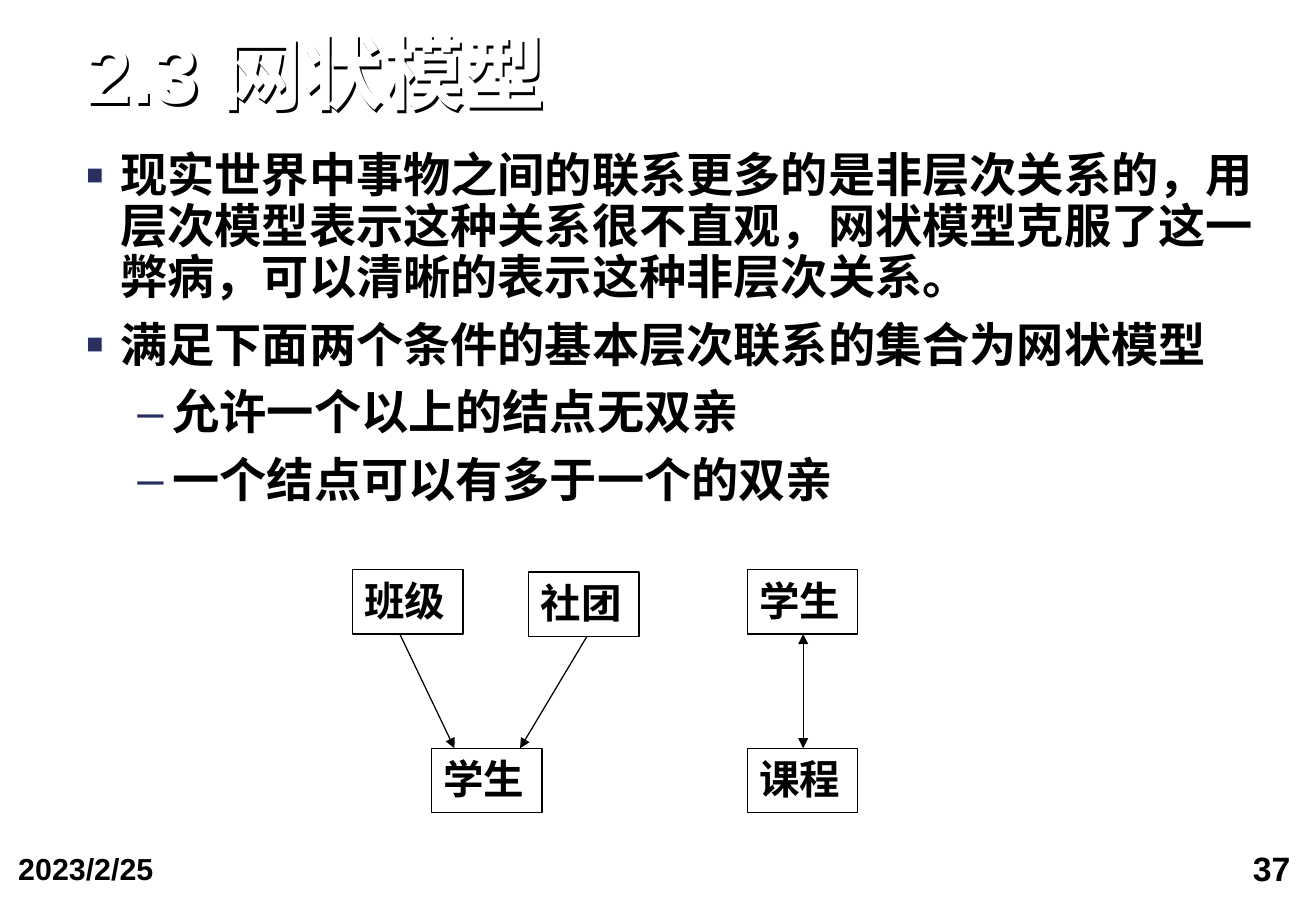
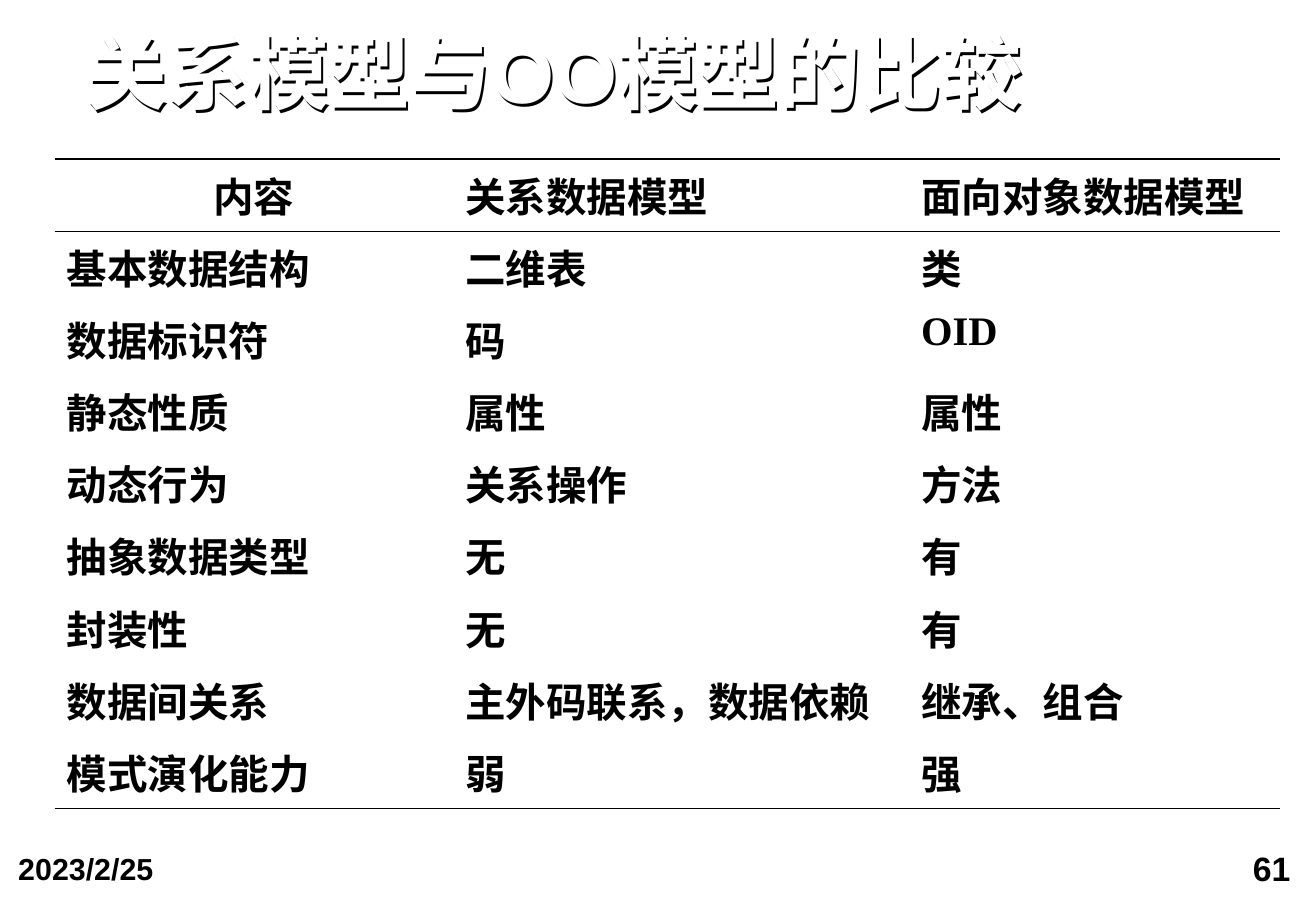
from lxml.etree import SubElement
from pptx import Presentation
from pptx.dml.color import RGBColor
from pptx.enum.shapes import MSO_CONNECTOR as Connector, MSO_SHAPE as Preset
from pptx.enum.text import MSO_ANCHOR as Anchor, MSO_AUTO_SIZE as AutoSize, PP_ALIGN as Align
from pptx.oxml import parse_xml
from pptx.oxml.ns import nsdecls, qn
from pptx.util import Inches, Pt

BLACK, WHITE, NAVY = "000000", "FFFFFF", "27305F"
SANS, SERIF = "Arial", "Times New Roman"
DATE = "2023/2/25"
FOOTER_INSETS = (0.13, 0.06)

NETWORK = {"title": "2.3 网状模型", "number": "37"}
COMPARISON = {"title": "关系模型与OO模型的比较", "number": "61"}

BODY = [
    (0, "现实世界中事物之间的联系更多的是非层次关系的，用层次模型表示这种关系很不直观，"
        "网状模型克服了这一弊病，可以清晰的表示这种非层次关系。"),
    (0, "满足下面两个条件的基本层次联系的集合为网状模型"),
    (1, "允许一个以上的结点无双亲"),
    (1, "一个结点可以有多于一个的双亲"),
]
LEVELS = [
    {"margin": 0.28, "indent": -0.28, "bullet": "■", "size": 60},
    {"margin": 0.71, "indent": -0.29, "bullet": "–", "size": 100},
]

NODE_WIDTH, NODE_HEIGHT = 0.91, 0.53
PARENT_TOP, CHILD_TOP = 4.69, 6.16
NODES = [
    ("班级", 2.9, PARENT_TOP),
    ("社团", 4.35, PARENT_TOP + 0.02),
    ("学生", 3.55, CHILD_TOP),
    ("学生", 6.15, PARENT_TOP),
    ("课程", 6.15, CHILD_TOP),
]
PARENT_BOTTOM = PARENT_TOP + NODE_HEIGHT
ARROWS = [
    (3.29, PARENT_BOTTOM, 3.74, ["tailEnd"]),
    (4.83, PARENT_BOTTOM + 0.02, 4.28, ["tailEnd"]),
    (6.61, PARENT_BOTTOM, 6.61, ["headEnd", "tailEnd"]),
]

COLUMN_WIDTHS = [3.28, 3.75, 3.05]
ROW_HEIGHT = 5.35 / 9
ROWS = [
    ("内容", "关系数据模型", "面向对象数据模型"),
    ("基本数据结构", "二维表", "类"),
    ("数据标识符", "码", "OID"),
    ("静态性质", "属性", "属性"),
    ("动态行为", "关系操作", "方法"),
    ("抽象数据类型", "无", "有"),
    ("封装性", "无", "有"),
    ("数据间关系", "主外码联系，数据依赖", "继承、组合"),
    ("模式演化能力", "弱", "强"),
]


def color(value):
    return RGBColor.from_string(value)


def format_runs(paragraph, size, name, text_color=BLACK):
    for run in paragraph.runs:
        run.font.size = Pt(size)
        run.font.name = name
        run.font.bold = True
        run.font.color.rgb = color(text_color)


def add_text_box(slide, left, top, width, height, insets=(0, 0)):
    box = slide.shapes.add_textbox(Inches(left), Inches(top), Inches(width), Inches(height))
    frame = box.text_frame
    frame.word_wrap = True
    frame.margin_left = frame.margin_right = Inches(insets[0])
    frame.margin_top = frame.margin_bottom = Inches(insets[1])
    return box


def add_title(slide, text):
    box = add_text_box(slide, 0.71, 0.28, 9.65, 0.72)
    frame = box.text_frame
    frame.auto_size = AutoSize.SHAPE_TO_FIT_TEXT
    frame.vertical_anchor = Anchor.BOTTOM
    frame.text = text
    paragraph = frame.paragraphs[0]
    paragraph.line_spacing = 0.9
    format_runs(paragraph, 48, SANS, WHITE)
    box._element.spPr.append(parse_xml(
        f'<a:effectLst {nsdecls("a")}><a:outerShdw dist="{Pt(2)}" dir="2700000" algn="ctr" '
        f'rotWithShape="0"><a:srgbClr val="{BLACK}"/></a:outerShdw></a:effectLst>'))


def add_footer(slide, number):
    footers = [
        (DATE, 18, Align.LEFT, (0.02, 6.94, 2.51, 0.63)),
        (number, 20, Align.RIGHT, (8.01, 6.92, 2.74, 0.58)),
    ]
    for text, size, alignment, place in footers:
        frame = add_text_box(slide, *place, FOOTER_INSETS).text_frame
        frame.text = text
        frame.paragraphs[0].alignment = alignment
        format_runs(frame.paragraphs[0], size, SANS)


def add_slide(presentation, content):
    slide = presentation.slides.add_slide(presentation.slide_layouts[6])
    add_title(slide, content["title"])
    add_footer(slide, content["number"])
    return slide


def add_bullet(paragraph, level):
    properties = paragraph._p.get_or_add_pPr()
    properties.set("marL", str(Inches(level["margin"])))
    properties.set("indent", str(Inches(level["indent"])))
    bullet_color = SubElement(properties, qn("a:buClr"))
    SubElement(bullet_color, qn("a:srgbClr"), val=NAVY)
    SubElement(properties, qn("a:buSzPct"), val=str(level["size"] * 1000))
    SubElement(properties, qn("a:buFont"), typeface=SANS)
    SubElement(properties, qn("a:buChar"), char=level["bullet"])


def add_body(slide):
    frame = add_text_box(slide, 0.71, 1.25, 9.65, 3.01).text_frame
    frame.auto_size = AutoSize.SHAPE_TO_FIT_TEXT
    for index, (level, text) in enumerate(BODY):
        paragraph = frame.add_paragraph() if index else frame.paragraphs[0]
        paragraph.text = text
        paragraph.level = level
        paragraph.line_spacing = 0.9
        if index:
            paragraph.space_before = Pt(9.8)
        add_bullet(paragraph, LEVELS[level])
        format_runs(paragraph, 28, SERIF)


def add_node(slide, text, left, top):
    node = slide.shapes.add_shape(Preset.RECTANGLE, Inches(left), Inches(top),
                                  Inches(NODE_WIDTH), Inches(NODE_HEIGHT))
    node.shadow.inherit = False
    node.fill.solid()
    node.fill.fore_color.rgb = color(WHITE)
    node.line.color.rgb = color(BLACK)
    node.line.width = Pt(0.75)
    frame = node.text_frame
    frame.vertical_anchor = Anchor.TOP
    frame.text = text
    frame.paragraphs[0].alignment = Align.JUSTIFY
    format_runs(frame.paragraphs[0], 24, SERIF)


def add_arrow(slide, start_x, start_y, end_x, heads):
    arrow = slide.shapes.add_connector(Connector.STRAIGHT, Inches(start_x), Inches(start_y),
                                       Inches(end_x), Inches(CHILD_TOP))
    arrow.line.color.rgb = color(BLACK)
    arrow.line.width = Pt(0.75)
    line = arrow.line._get_or_add_ln()
    for head in heads:
        SubElement(line, qn(f"a:{head}"), type="triangle")
    SubElement(arrow._element.spPr, qn("a:effectLst"))


def set_borders(cell, ruled_sides):
    properties = cell._tc.get_or_add_tcPr()
    for index, side in enumerate("LRTB"):
        fill = (f'<a:solidFill><a:srgbClr val="{BLACK}"/></a:solidFill>'
                if side in ruled_sides else "<a:noFill/>")
        properties.insert(index, parse_xml(
            f'<a:ln{side} {nsdecls("a")} w="{Pt(1)}">{fill}</a:ln{side}>'))


def add_comparison_table(slide):
    table = slide.shapes.add_table(
        len(ROWS), len(COLUMN_WIDTHS), Inches(0.45), Inches(1.31),
        Inches(sum(COLUMN_WIDTHS)), Inches(ROW_HEIGHT * len(ROWS))).table
    table.first_row = table.horz_banding = False
    for column, width in zip(table.columns, COLUMN_WIDTHS):
        column.width = Inches(width)
    rules = {0: "TB", 1: "T", len(ROWS) - 1: "B"}
    for row_index, texts in enumerate(ROWS):
        table.rows[row_index].height = Inches(ROW_HEIGHT)
        for column_index, text in enumerate(texts):
            cell = table.cell(row_index, column_index)
            cell.fill.background()
            set_borders(cell, rules.get(row_index, ""))
            cell.text_frame.text = text
            format_runs(cell.text_frame.paragraphs[0], 24, SERIF)
    table.cell(0, 0).text_frame.paragraphs[0].alignment = Align.CENTER


def main():
    presentation = Presentation()
    presentation.slide_width = Inches(10.83)
    presentation.slide_height = Inches(7.5)

    network_slide = add_slide(presentation, NETWORK)
    add_body(network_slide)
    for node in NODES:
        add_node(network_slide, *node)
    for arrow in ARROWS:
        add_arrow(network_slide, *arrow)

    add_comparison_table(add_slide(presentation, COMPARISON))
    presentation.save("out.pptx")


if __name__ == "__main__":
    main()
